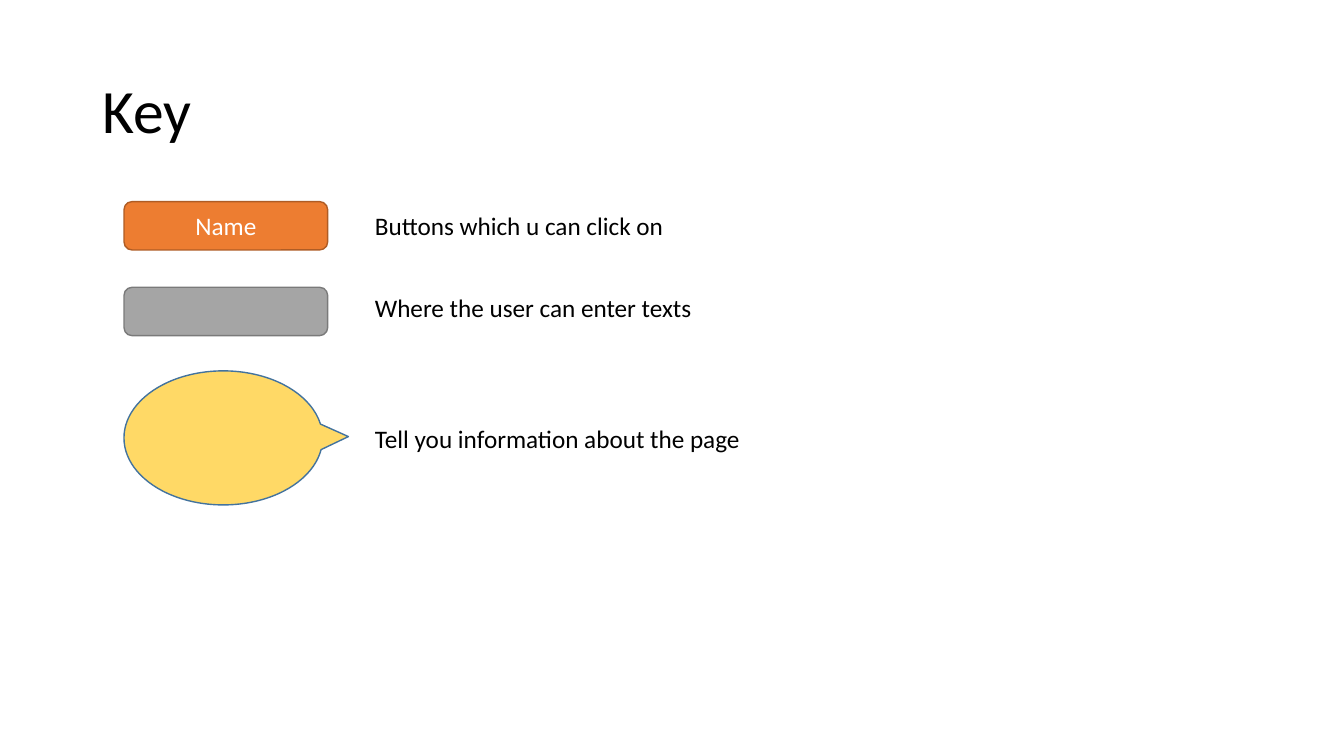
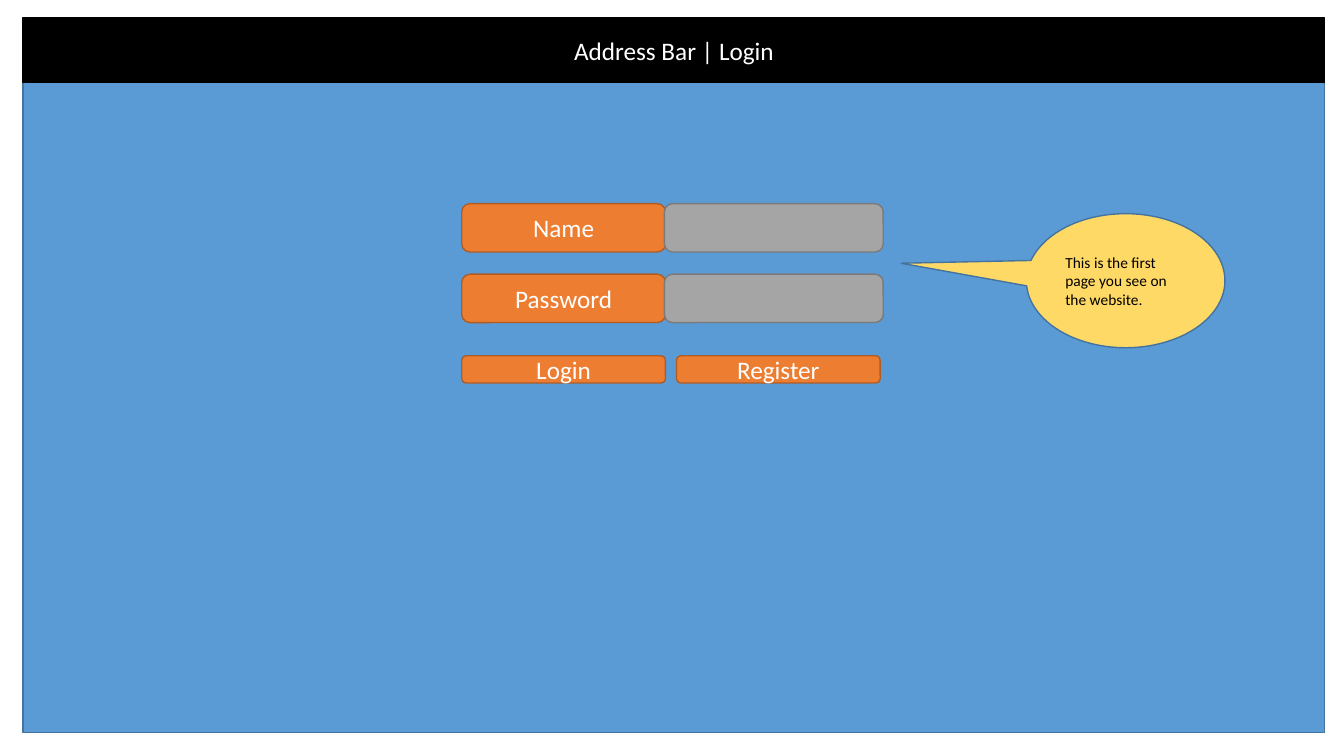
import pptx
import pptx.dml.color
import pptx.enum.shapes
import pptx.enum.text
import pptx.util

Inches = pptx.util.Inches
Pt = pptx.util.Pt
ShapeKind = pptx.enum.shapes.MSO_SHAPE
Align = pptx.enum.text.PP_ALIGN
Anchor = pptx.enum.text.MSO_ANCHOR

FONT = "Calibri"
COLORS = {
    "black": "000000", "white": "FFFFFF",
    "orange": "ED7D31", "orange_line": "AF5C24",
    "gray": "A5A5A5", "gray_line": "7A7A7A",
    "yellow": "FFD966", "blue": "5B9BD5", "blue_line": "43739E",
}
STYLES = {
    "button": (ShapeKind.ROUNDED_RECTANGLE, "orange", "orange_line"),
    "field": (ShapeKind.ROUNDED_RECTANGLE, "gray", "gray_line"),
    "callout": (ShapeKind.OVAL_CALLOUT, "yellow", "blue_line"),
    "page": (ShapeKind.RECTANGLE, "blue", "blue_line"),
    "bar": (ShapeKind.RECTANGLE, "black", "black"),
}

BUTTON_WIDTH, ROW_HEIGHT = 2.02, 0.48
FIELD_WIDTH = 2.17
CALLOUT_SIZE = (1.97, 1.33)
KEY_LEFT, LABEL_LEFT = 1.23, 3.62
LABEL_SIZE = (4.27, 0.4)
PAGE_LEFT, PAGE_TOP, PAGE_WIDTH = 0.23, 0.18, 12.91
FORM_LEFT, FORM_TOP, FORM_PITCH = 4.58, 2.02, 0.7
FIELD_LEFT = 6.59
ACTION_TOP, ACTION_PITCH, ACTION_HEIGHT = 3.53, 2.13, 0.27

KEY_TITLE = "Key"
KEY_ROWS = [
    ("button", "Name", 2, (BUTTON_WIDTH, ROW_HEIGHT), (),
     "Buttons which u can click on", 2.04),
    ("field", "", 2.85, (BUTTON_WIDTH, ROW_HEIGHT), (),
     "Where the user can enter texts", 2.85),
    ("callout", "", 3.68, CALLOUT_SIZE, (0.63, -0.01),
     "Tell you information about the page", 4.15),
]
ADDRESS = "Address Bar | Login"
FORM_FIELDS = ["Name", "Password"]
ACTIONS = ["Login", "Register"]
HINT = "This is the first page you see on the website."


def rgb(name):
    return pptx.dml.color.RGBColor.from_string(COLORS[name])


def write(shape, text, size=18, color="black", align=Align.LEFT, anchor=Anchor.MIDDLE):
    frame = shape.text_frame
    frame.word_wrap = True
    frame.vertical_anchor = anchor
    paragraph = frame.paragraphs[0]
    paragraph.alignment = align
    run = paragraph.add_run()
    run.text = text
    run.font.name = FONT
    run.font.size = Pt(size)
    run.font.color.rgb = rgb(color)
    return paragraph


def add_label(slide, text, left, top, width, height, **text_style):
    box = slide.shapes.add_textbox(*map(Inches, (left, top, width, height)))
    return write(box, text, **text_style)


def add_part(slide, style, left, top, width, height, text="", adjustments=()):
    kind, fill, line = STYLES[style]
    shape = slide.shapes.add_shape(kind, *map(Inches, (left, top, width, height)))
    shape.shadow.inherit = False
    shape.fill.solid()
    shape.fill.fore_color.rgb = rgb(fill)
    shape.line.color.rgb = rgb(line)
    shape.line.width = Pt(1)
    for index, value in enumerate(adjustments):
        shape.adjustments[index] = value
    if text and style == "callout":
        write(shape, text, size=11)
    elif text:
        write(shape, text, color="white", align=Align.CENTER)


def build_key(slide):
    title = add_label(slide, KEY_TITLE, 0.92, 0.4, 11.5, 1.45, size=44)
    title.line_spacing = 0.9
    for style, text, top, size, adjustments, label, label_top in KEY_ROWS:
        add_part(slide, style, KEY_LEFT, top, *size, text, adjustments)
        add_label(slide, label, LABEL_LEFT, label_top, *LABEL_SIZE, anchor=Anchor.TOP)


def build_login(slide):
    add_part(slide, "page", PAGE_LEFT, PAGE_TOP, PAGE_WIDTH, 7.09)
    add_part(slide, "bar", PAGE_LEFT, PAGE_TOP, PAGE_WIDTH, 0.64, ADDRESS)
    for row, name in enumerate(FORM_FIELDS):
        top = FORM_TOP + row * FORM_PITCH
        add_part(slide, "button", FORM_LEFT, top, BUTTON_WIDTH, ROW_HEIGHT, name)
        add_part(slide, "field", FIELD_LEFT, top, FIELD_WIDTH, ROW_HEIGHT)
    for column, name in enumerate(ACTIONS):
        left = FORM_LEFT + column * ACTION_PITCH
        add_part(slide, "button", left, ACTION_TOP, BUTTON_WIDTH, ACTION_HEIGHT, name)
    add_part(slide, "callout", 10.18, 2.12, *CALLOUT_SIZE, HINT, (-1.13, -0.13))


def main():
    presentation = pptx.Presentation()
    presentation.slide_width = Inches(13.33)
    presentation.slide_height = Inches(7.5)
    for build in (build_key, build_login):
        build(presentation.slides.add_slide(presentation.slide_layouts[6]))
    presentation.save("out.pptx")


if __name__ == "__main__":
    main()
